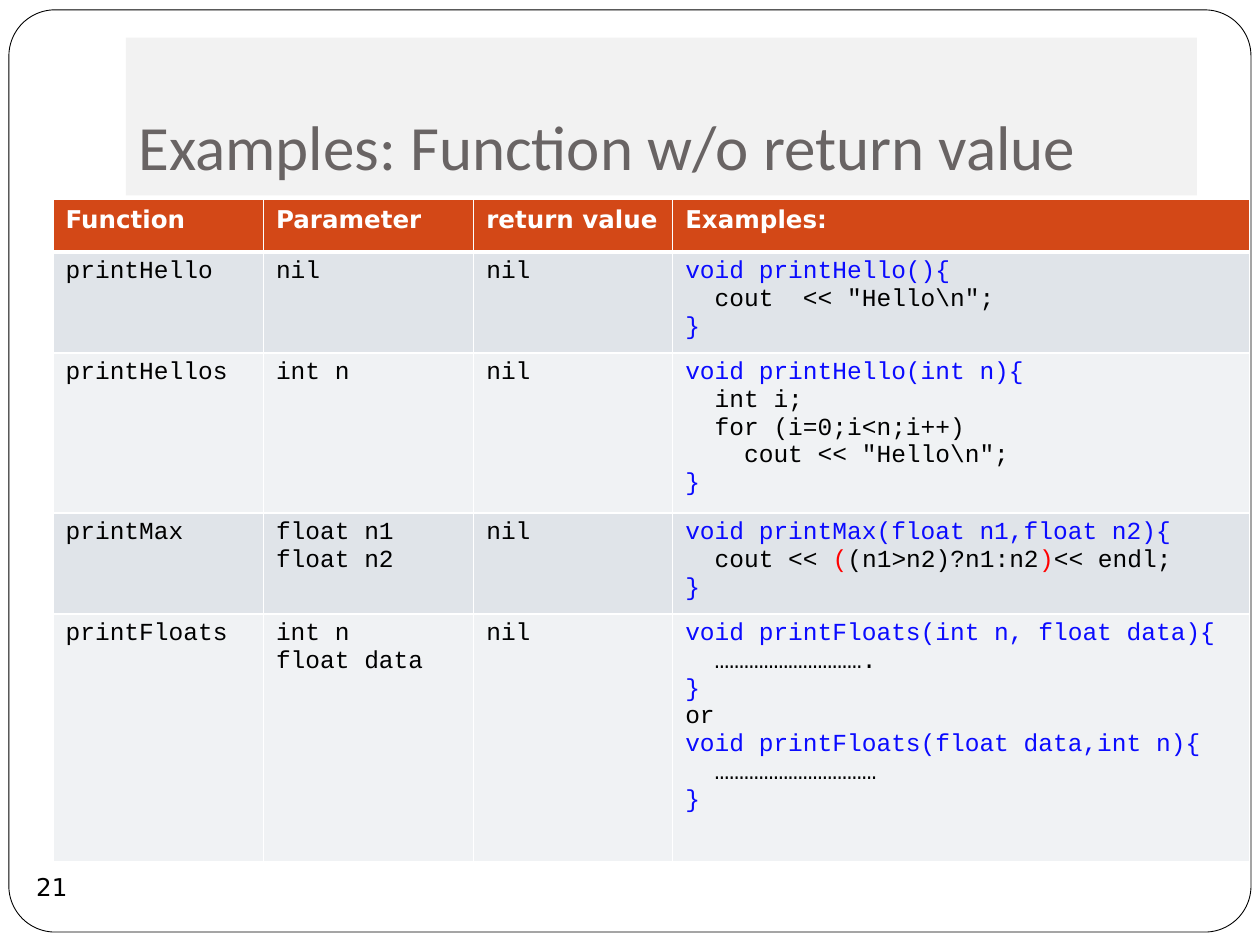
from dataclasses import dataclass

from lxml.etree import SubElement
from pptx import Presentation
from pptx.dml.color import RGBColor
from pptx.enum.shapes import MSO_SHAPE
from pptx.enum.text import MSO_ANCHOR, PP_ALIGN
from pptx.oxml.ns import qn
from pptx.util import Cm, Pt


@dataclass(frozen=True)
class Theme:
    """Colours, fonts and type sizes of the slide."""
    white: str = "FFFFFF"
    black: str = "000000"
    title_band: str = "F2F2F2"
    title_text: str = "696464"
    header: str = "D34817"
    bands: tuple = ("E0E4E9", "F0F2F4")
    signature: str = "0A0AFF"
    highlight: str = "FF0000"
    title_font: str = "Calibri"
    body_font: str = "DejaVu Sans"
    code_font: str = "Courier New"
    title_size: int = 36
    body_size: int = 14


THEME = Theme()
CLOSING = [("}", THEME.signature)]
HEADINGS = ["Function", "Parameter", "return value", "Examples:"]
COLUMN_WIDTHS = [4.24, 4.24, 4.01, 11.63]
ROW_HEIGHTS = [1.07, 2.03, 3.23, 2.03, 5]


def signature(text):
    """Return a code line in the signature colour."""
    return [(text, THEME.signature)]


def plain(*lines):
    """Return code lines in black."""
    return [[(line, THEME.black)] for line in lines]


FUNCTIONS = [
    ["printHello", ["nil"], [
        signature("void printHello(){"),
        *plain('  cout  << "Hello\\n";'),
        CLOSING,
    ]],
    ["printHellos", ["int n"], [
        signature("void printHello(int n){"),
        *plain("  int i;", "  for (i=0;i<n;i++)", '    cout << "Hello\\n";'),
        CLOSING,
    ]],
    ["printMax", ["float n1", "float n2"], [
        signature("void printMax(float n1,float n2){"),
        [("  cout << ", THEME.black), ("(", THEME.highlight),
         ("(n1>n2)?n1:n2", THEME.black), (")", THEME.highlight),
         ("<< endl;", THEME.black)],
        CLOSING,
    ]],
    ["printFloats", ["int n", "float data"], [
        signature("void printFloats(int n, float data){"),
        *plain("  ………………………….") ,
        CLOSING,
        *plain("or"),
        signature("void printFloats(float data,int n){"),
        *plain("  ……………………………"),
        CLOSING,
    ]],
]


def colour(value):
    """Turn a hex string into a colour."""
    return RGBColor.from_string(value)


def write_lines(text_frame, lines, font_name, size, bold=False):
    """Write each line as a paragraph made of coloured runs."""
    for index, line in enumerate(lines):
        paragraph = text_frame.paragraphs[0] if index == 0 else text_frame.add_paragraph()
        for text, run_colour in line:
            run = paragraph.add_run()
            run.text = text
            run.font.name = font_name
            run.font.size = Pt(size)
            run.font.bold = bold
            run.font.color.rgb = colour(run_colour)


def add_frame(slide, left, top, width, height):
    """Draw the rounded outline around the slide."""
    shape = slide.shapes.add_shape(
        MSO_SHAPE.ROUNDED_RECTANGLE, Cm(left), Cm(top), Cm(width), Cm(height))
    shape.adjustments[0] = 0.05
    shape.shadow.inherit = False
    shape.fill.solid()
    shape.fill.fore_color.rgb = colour(THEME.white)
    shape.line.color.rgb = colour(THEME.black)
    shape.line.width = Pt(0.5)


def add_title(slide, text, left, top, width, height):
    """Place the title at the foot of its grey band."""
    shape = slide.shapes.add_textbox(Cm(left), Cm(top), Cm(width), Cm(height))
    shape.fill.solid()
    shape.fill.fore_color.rgb = colour(THEME.title_band)
    text_frame = shape.text_frame
    text_frame.word_wrap = True
    text_frame.vertical_anchor = MSO_ANCHOR.BOTTOM
    text_frame.margin_bottom = Cm(0.25)
    write_lines(text_frame, [[(text, THEME.title_text)]], THEME.title_font, THEME.title_size)


def add_slide_number(slide, text, left, top, side):
    """Centre the slide number in an unfilled circle."""
    shape = slide.shapes.add_shape(MSO_SHAPE.OVAL, Cm(left), Cm(top), Cm(side), Cm(side))
    shape.shadow.inherit = False
    shape.fill.background()
    shape.line.fill.background()
    text_frame = shape.text_frame
    text_frame.word_wrap = False
    text_frame.vertical_anchor = MSO_ANCHOR.MIDDLE
    text_frame.margin_left = text_frame.margin_right = 0
    text_frame.margin_top = text_frame.margin_bottom = 0
    write_lines(text_frame, [[(text, THEME.black)]], THEME.body_font, THEME.body_size)
    text_frame.paragraphs[0].alignment = PP_ALIGN.CENTER


def style_cell(cell, fill, top_border=1, bottom_border=1):
    """Give a cell white borders and a solid fill."""
    properties = cell._tc.get_or_add_tcPr()
    borders = {"a:lnL": 1, "a:lnR": 1, "a:lnT": top_border, "a:lnB": bottom_border}
    for tag, width in borders.items():
        border = SubElement(properties, qn(tag), w=str(Pt(width)))
        border_fill = SubElement(border, qn("a:solidFill"))
        SubElement(border_fill, qn("a:srgbClr"), val=THEME.white)
    cell.fill.solid()
    cell.fill.fore_color.rgb = colour(fill)


def add_function_table(slide, left, top):
    """Build the table of functions with their code examples."""
    table = slide.shapes.add_table(
        len(ROW_HEIGHTS), len(COLUMN_WIDTHS), Cm(left), Cm(top),
        Cm(sum(COLUMN_WIDTHS)), Cm(sum(ROW_HEIGHTS))).table
    table.horz_banding = False
    for column, width in zip(table.columns, COLUMN_WIDTHS):
        column.width = Cm(width)
    for row, height in zip(table.rows, ROW_HEIGHTS):
        row.height = Cm(height)
    for cell, heading in zip(table.rows[0].cells, HEADINGS):
        style_cell(cell, THEME.header, bottom_border=3)
        write_lines(cell.text_frame, [[(heading, THEME.white)]],
                    THEME.body_font, THEME.body_size, bold=True)
    for index, (name, parameters, code) in enumerate(FUNCTIONS):
        contents = [plain(name), plain(*parameters), plain("nil"), code]
        for cell, lines in zip(table.rows[index + 1].cells, contents):
            style_cell(cell, THEME.bands[index % 2], top_border=3 if index == 0 else 1)
            write_lines(cell.text_frame, lines, THEME.code_font, THEME.body_size)


def main():
    """Build and save the presentation."""
    presentation = Presentation()
    presentation.slide_width = Cm(25.4)
    presentation.slide_height = Cm(19.05)
    slide = presentation.slides.add_slide(presentation.slide_layouts[6])
    add_frame(slide, 0.18, 0.2, 25.04, 18.59)
    add_title(slide, "Examples: Function w/o return value", 2.54, 0.76, 21.59, 3.18)
    add_slide_number(slide, "21", 0.41, 17.25, 1.27)
    add_function_table(slide, 1.07, 4.01)
    presentation.save("out.pptx")


if __name__ == "__main__":
    main()
